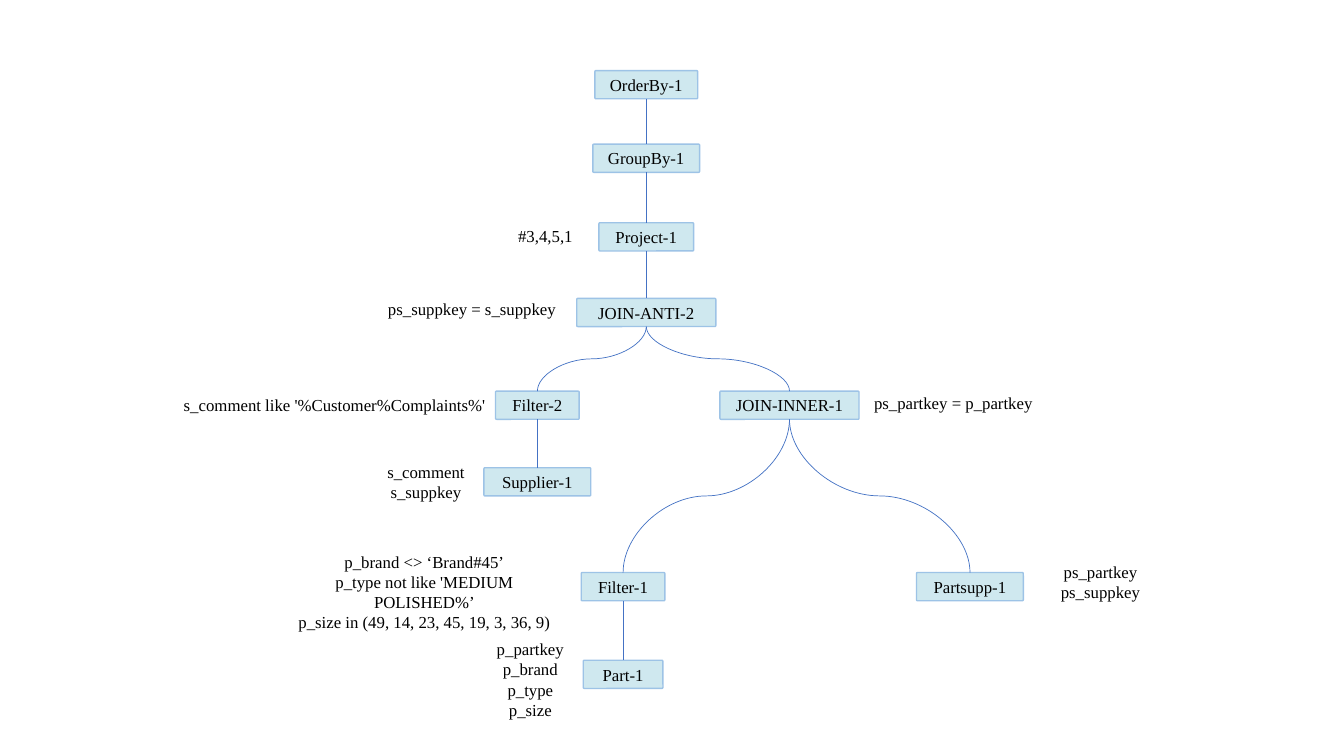
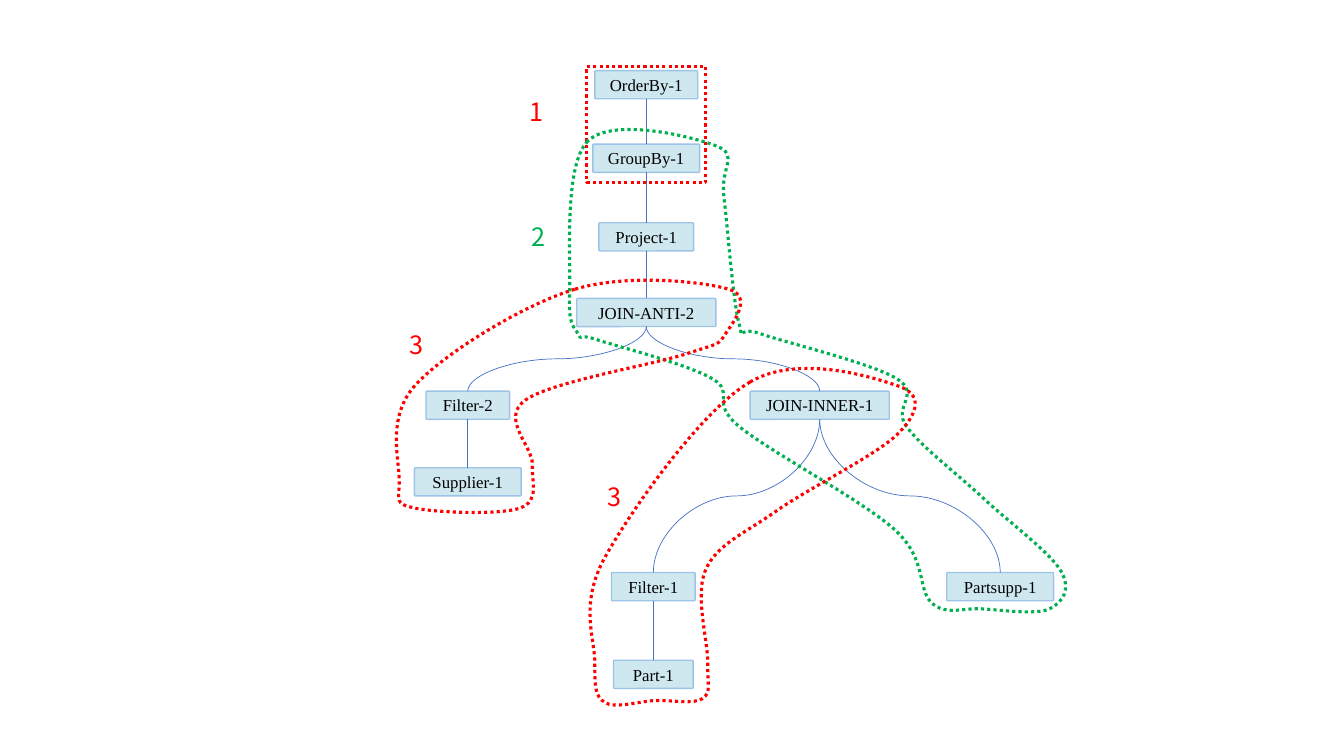
"""Build two slides of a query plan tree: one annotated, one split into stages."""
from dataclasses import dataclass

from lxml import etree
from pptx import Presentation
from pptx.dml.color import RGBColor
from pptx.enum.dml import MSO_LINE
from pptx.enum.shapes import MSO_CONNECTOR, MSO_SHAPE
from pptx.enum.text import MSO_ANCHOR, PP_ALIGN
from pptx.oxml.ns import qn
from pptx.util import Inches, Pt

STRAIGHT, CURVE = MSO_CONNECTOR.STRAIGHT, MSO_CONNECTOR.CURVE
RECT, ROUNDED = MSO_SHAPE.RECTANGLE, MSO_SHAPE.ROUNDED_RECTANGLE
LEFT, CENTER = PP_ALIGN.LEFT, PP_ALIGN.CENTER
TOP, MIDDLE = MSO_ANCHOR.TOP, MSO_ANCHOR.MIDDLE
SQUARE_DOT = MSO_LINE.ROUND_DOT
TOP_SITE, BOTTOM_SITE = 0, 2


@dataclass(frozen=True)
class Theme:
    node_fill: RGBColor = RGBColor(0xCF, 0xE8, 0xEF)
    node_line: RGBColor = RGBColor(0x9D, 0xC3, 0xE6)
    edge: RGBColor = RGBColor(0x44, 0x72, 0xC4)
    black: RGBColor = RGBColor(0, 0, 0)
    red: RGBColor = RGBColor(0xFF, 0, 0)
    green: RGBColor = RGBColor(0, 0xB0, 0x50)
    font: str = "Times New Roman"
    number_font: str = "Noto Sans CJK SC"
    size: Pt = Pt(12)
    number_size: Pt = Pt(18)
    node_width: Pt = Pt(1)
    edge_width: Pt = Pt(0.5)
    outline_width: Pt = Pt(2.25)


T = Theme()
NODE_HEIGHT, LINE_HEIGHT, TEXT_INSET = 0.28, 0.2, 0.05

# centre of each column of the tree
ANNOTATED_COLUMNS = {"trunk": 6.41, "supplier": 5.33, "join": 7.83, "part": 6.18, "partsupp": 9.62}
STAGED_SHIFTS = {"trunk": 0, "supplier": -0.69, "join": 0.3, "part": 0.3, "partsupp": 0.3}
STAGED_COLUMNS = {name: x + STAGED_SHIFTS[name] for name, x in ANNOTATED_COLUMNS.items()}

# name, parent, column, top, width
NODES = [
    ("OrderBy-1", None, "trunk", 0.7, 1.02),
    ("GroupBy-1", "OrderBy-1", "trunk", 1.43, 1.06),
    ("Project-1", "GroupBy-1", "trunk", 2.21, 0.94),
    ("JOIN-ANTI-2", "Project-1", "trunk", 2.96, 1.38),
    ("Filter-2", "JOIN-ANTI-2", "supplier", 3.88, 0.83),
    ("Supplier-1", "Filter-2", "supplier", 4.64, 1.06),
    ("JOIN-INNER-1", "JOIN-ANTI-2", "join", 3.88, 1.38),
    ("Filter-1", "JOIN-INNER-1", "part", 5.68, 0.83),
    ("Part-1", "Filter-1", "part", 6.55, 0.79),
    ("Partsupp-1", "JOIN-INNER-1", "partsupp", 5.68, 1.06),
]

# text, left, top, width, alignment
NOTES = [
    ("#3,4,5,1", 5.04, 2.19, 0.92, LEFT),
    ("ps_suppkey = s_suppkey", 3.75, 2.91, 1.87, LEFT),
    ("s_comment like '%Customer%Complaints%'", 1.6, 3.87, 3.44, CENTER),
    ("ps_partkey = p_partkey", 8.57, 3.85, 1.81, LEFT),
    ("s_comment\ns_suppkey", 3.65, 4.53, 1.15, CENTER),
    ("p_brand <> ‘Brand#45’\np_type not like 'MEDIUM POLISHED%’\n"
     "p_size in (49, 14, 23, 45, 19, 3, 36, 9)", 2.76, 5.42, 2.9, CENTER),
    ("p_partkey\np_brand\np_type\np_size", 4.82, 6.29, 0.88, CENTER),
    ("ps_partkey\nps_suppkey", 10.34, 5.52, 1.15, CENTER),
]

# text, left, top, colour
STAGE_NUMBERS = [
    ("1", 5.15, 0.91, T.red),
    ("2", 5.17, 2.15, T.green),
    ("3", 3.96, 3.22, T.red),
    ("3", 5.93, 4.73, T.red),
]

# points that each closed smooth outline passes through, in order around its nodes
PARTSUPP_STAGE = [
    (5.83, 1.4), (5.65, 2.91), (5.74, 3.32), (5.92, 3.37), (7.07, 3.76), (7.33, 4.23),
    (8.88, 5.26), (9.24, 5.98), (9.73, 6.04), (10.41, 6.04), (10.52, 5.66), (9.75, 4.94),
    (8.99, 4.23), (8.9, 3.76), (7.54, 3.31), (7.33, 3.21), (7.18, 1.95), (7.11, 1.45),
]
SUPPLIER_STAGE = [
    (5.7, 2.87), (4.12, 3.82), (3.96, 4.77), (4.11, 5.04), (5.16, 5.04),
    (5.28, 4.61), (5.21, 3.97), (6.81, 3.51), (7.19, 3.32), (7.23, 2.87),
]
PART_STAGE = [
    (7.44, 3.79), (6, 5.53), (5.9, 6.57), (6, 6.97), (6.5, 6.95), (6.97, 6.93),
    (7.02, 6.58), (7, 5.65), (7.7, 5.07), (8.91, 4.3), (8.91, 3.83),
]
SMOOTH_STAGES = [(PARTSUPP_STAGE, T.green), (SUPPLIER_STAGE, T.red), (PART_STAGE, T.red)]


def write(sp, text, *, font=T.font, size=T.size, color=T.black, align=CENTER,
          anchor=TOP, wrap=True):
    tf = sp.text_frame
    tf.word_wrap = wrap
    tf.vertical_anchor = anchor
    for i, line in enumerate(text.split("\n")):
        p = tf.add_paragraph() if i else tf.paragraphs[0]
        p.alignment = align
        r = p.add_run()
        r.text = line
        r.font.name = font
        r.font.size = size
        r.font.color.rgb = color


def draw_tree(s, columns):
    boxes, column_of = {}, {}
    for name, parent, column, top, width in NODES:
        left = columns[column] - width / 2
        sp = s.shapes.add_shape(ROUNDED, Inches(left), Inches(top), Inches(width), Inches(NODE_HEIGHT))
        sp.adjustments[0] = 0.04
        sp.shadow.inherit = False
        sp.fill.solid()
        sp.fill.fore_color.rgb = T.node_fill
        sp.line.color.rgb = T.node_line
        sp.line.width = T.node_width
        write(sp, name, anchor=MIDDLE, wrap=False)
        boxes[name], column_of[name] = sp, column
        if parent is None:
            continue

        kind = STRAIGHT if column_of[parent] == column else CURVE
        edge = s.shapes.add_connector(kind, 0, 0, 0, 0)
        edge.begin_connect(boxes[parent], BOTTOM_SITE)
        edge.end_connect(sp, TOP_SITE)
        edge.line.color.rgb = T.edge
        edge.line.width = T.edge_width
        spPr = edge._element.spPr
        etree.SubElement(spPr, qn("a:effectLst"))
        if kind == CURVE:
            dx, dy = edge.end_x - edge.begin_x, edge.end_y - edge.begin_y
            mid_x, mid_y = edge.begin_x + dx // 2, edge.begin_y + dy // 2
            edge.left, edge.top = mid_x - dy // 2, mid_y - abs(dx) // 2
            edge.width, edge.height = dy, abs(dx)
            goes_right = dx > 0
            xfrm = spPr.find(qn("a:xfrm"))
            xfrm.set("rot", str((270 if goes_right else 90) * 60000))
            xfrm.set("flipH", str(int(goes_right)))


prs = Presentation()
prs.slide_width, prs.slide_height = Inches(13.33), Inches(7.5)
blank = prs.slide_layouts[6]

s = prs.slides.add_slide(blank)
draw_tree(s, ANNOTATED_COLUMNS)
for text, left, top, width, align in NOTES:
    height = 2 * TEXT_INSET + LINE_HEIGHT * len(text.split("\n"))
    sp = s.shapes.add_textbox(Inches(left), Inches(top), Inches(width), Inches(height))
    write(sp, text, align=align)

s = prs.slides.add_slide(blank)
draw_tree(s, STAGED_COLUMNS)
top_stage = s.shapes.add_shape(RECT, Inches(5.82), Inches(0.66), Inches(1.18), Inches(1.15))
outlines = [(top_stage, T.red)]
for anchors, color in SMOOTH_STAGES:
    points = [(Inches(x), Inches(y)) for x, y in anchors]
    count = len(points)
    tangents = []
    for i in range(count):
        (x0, y0), (x1, y1) = points[i - 1], points[(i + 1) % count]
        tangents.append(((x1 - x0) / 6, (y1 - y0) / 6))

    curve_points = []
    for i in range(count):
        j = (i + 1) % count
        (x0, y0), (x1, y1) = points[i], points[j]
        (tx0, ty0), (tx1, ty1) = tangents[i], tangents[j]
        curve_points += [(x0 + tx0, y0 + ty0), (x1 - tx1, y1 - ty1), (x1, y1)]

    builder = s.shapes.build_freeform(*points[0])
    builder.add_line_segments(curve_points, close=True)
    sp = builder.convert_to_shape()
    segments = list(sp._element.iter(qn("a:lnTo")))
    for i in range(0, len(segments), 3):
        bezier = etree.Element(qn("a:cubicBezTo"))
        segments[i].addprevious(bezier)
        for segment in segments[i:i + 3]:
            bezier.append(segment[0])
            segment.getparent().remove(segment)
    outlines.append((sp, color))

for sp, color in outlines:
    sp.shadow.inherit = False
    sp.fill.background()
    sp.line.color.rgb = color
    sp.line.width = T.outline_width
    sp.line.dash_style = SQUARE_DOT

for text, left, top, color in STAGE_NUMBERS:
    sp = s.shapes.add_textbox(Inches(left), Inches(top), Inches(0.46), Inches(0.4))
    write(sp, text, font=T.number_font, size=T.number_size, color=color, align=LEFT)

prs.save("out.pptx")
